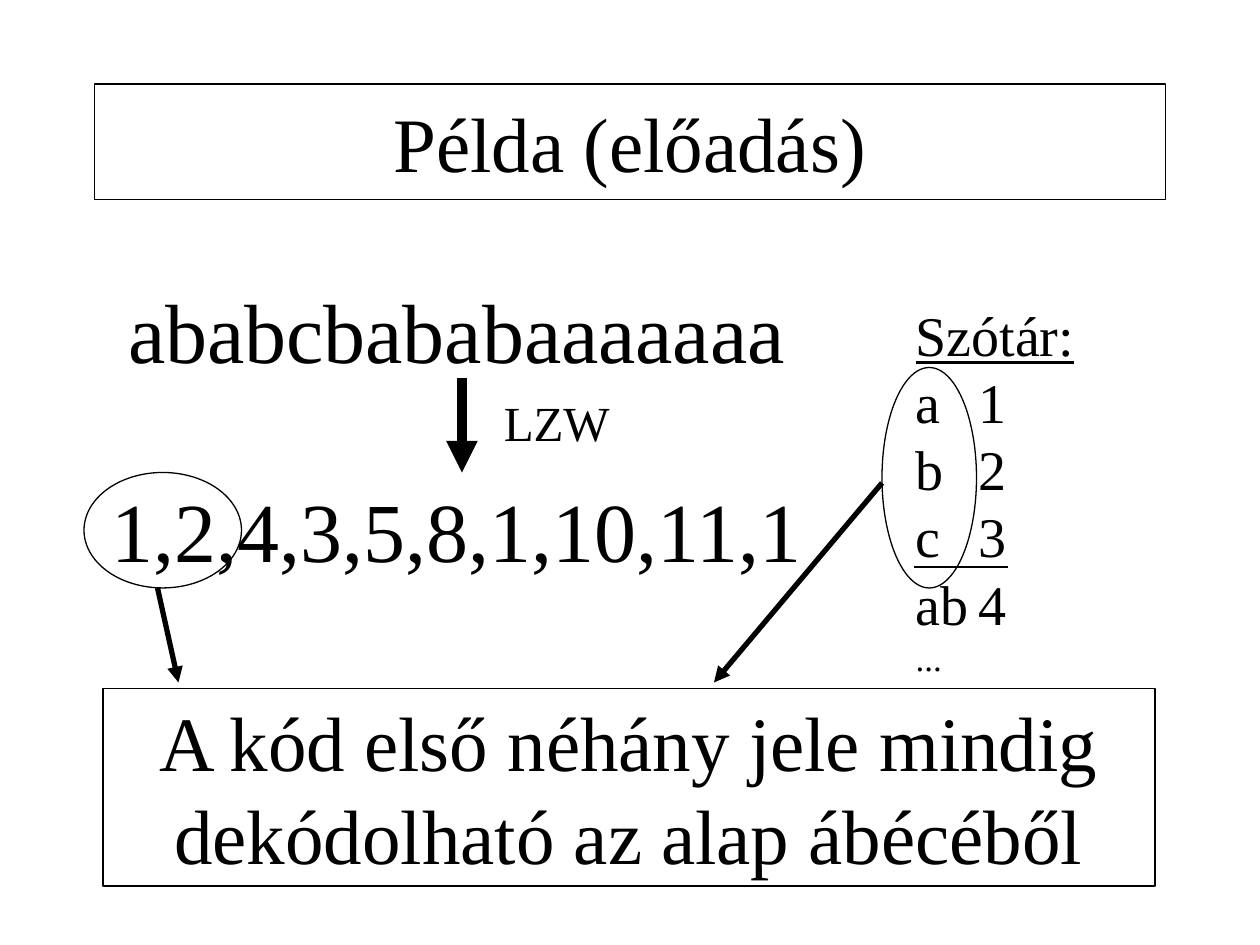
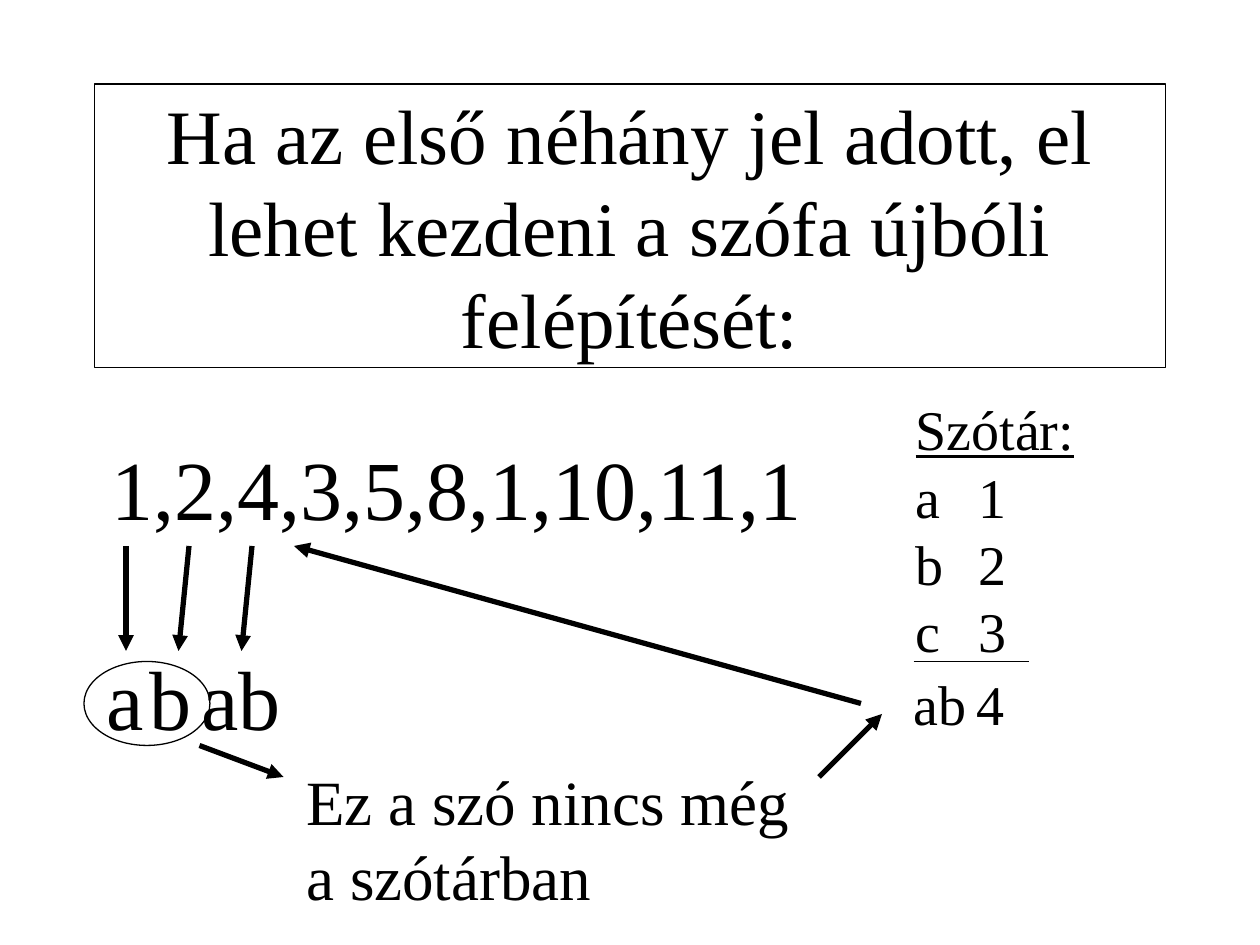
from dataclasses import dataclass
from typing import NamedTuple

from lxml import etree
from pptx import Presentation
from pptx.dml.color import RGBColor
from pptx.enum.shapes import MSO_CONNECTOR, MSO_SHAPE
from pptx.enum.text import MSO_ANCHOR, MSO_AUTO_SIZE, PP_ALIGN
from pptx.oxml.ns import qn
from pptx.util import Inches, Pt

STRAIGHT = MSO_CONNECTOR.STRAIGHT
RECTANGLE, OVAL = MSO_SHAPE.RECTANGLE, MSO_SHAPE.OVAL
TOP, MIDDLE = MSO_ANCHOR.TOP, MSO_ANCHOR.MIDDLE
LEFT, CENTER = PP_ALIGN.LEFT, PP_ALIGN.CENTER
FIXED_SIZE = MSO_AUTO_SIZE.NONE

COLUMNS, ROWS = 120, 90
CELL = Inches(10) // COLUMNS
TITLE_AND_CONTENT = 1


@dataclass(frozen=True)
class Theme:
    font: str = "Times New Roman"
    ink: RGBColor = RGBColor(0, 0, 0)
    title: int = 44
    code: int = 48
    remark: int = 36
    entry: int = 32
    label: int = 28
    ellipsis: int = 20
    thin: float = 0.75
    arrow: float = 3
    thick: float = 6


THEME = Theme()


class Area(NamedTuple):
    column: float
    row: float
    columns: float
    rows: float


class Line(NamedTuple):
    text: str
    size: int
    underline: bool = False


class Note(NamedTuple):
    area: Area
    lines: list[Line]
    align: PP_ALIGN = LEFT
    wrap: bool = True


class Stroke(NamedTuple):
    start: tuple[float, float]
    end: tuple[float, float]
    width: float = THEME.arrow
    head: bool = True


def cells(values) -> list[int]:
    return [round(value * CELL) for value in values]


def apply(target, formats: dict) -> None:
    for name, value in formats.items():
        setattr(target, name, value)


def place(box, area: Area) -> None:
    apply(box, dict(zip(("left", "top", "width", "height"), cells(area))))


def outline(box) -> None:
    box.fill.background()
    box.line.width = Pt(THEME.thin)
    box.line.color.rgb = THEME.ink


def write(box, lines: list[Line], align=LEFT, anchor=TOP, wrap=True) -> None:
    frame = box.text_frame
    apply(frame, {"word_wrap": wrap, "auto_size": FIXED_SIZE,
                  "vertical_anchor": anchor})
    for index, line in enumerate(lines):
        para = frame.add_paragraph() if index else frame.paragraphs[0]
        apply(para, {"alignment": align, "space_before": Pt(0)})
        properties = para._p.get_or_add_pPr()
        for name in ("marL", "indent"):
            properties.set(name, "0")
        etree.SubElement(properties, qn("a:buNone"))
        if "\t" in line.text:
            stops = etree.SubElement(properties, qn("a:tabLst"))
            etree.SubElement(stops, qn("a:tab"), pos=str(Inches(1)), algn="l")
        span = para.add_run()
        span.text = line.text
        apply(span.font, {"name": THEME.font, "size": Pt(line.size),
                          "underline": line.underline})
        span.font.color.rgb = THEME.ink


def add_title(page, text: str, rows: float) -> None:
    box = page.shapes.title
    place(box, Area(9, 8, 102, rows))
    outline(box)
    write(box, [Line(text, THEME.title)], CENTER, MIDDLE)


def add_dictionary(page, row: float, rows: float, entries: list[Line]) -> None:
    box = page.placeholders[1]
    place(box, Area(86, row, 24.5, rows))
    alphabet = [Line(f"{letter}\t{code}", THEME.entry)
                for code, letter in enumerate("abc", 1)]
    write(box, [Line("Szótár:", THEME.entry, True), *alphabet, *entries])


def add_note(page, note: Note) -> None:
    box = page.shapes.add_textbox(*cells(note.area))
    write(box, note.lines, note.align, wrap=note.wrap)


def add_outlined(page, kind: MSO_SHAPE, area: Area):
    box = page.shapes.add_shape(kind, *cells(area))
    box.shadow.inherit = False
    outline(box)
    return box


def add_stroke(page, stroke: Stroke) -> None:
    connector = page.shapes.add_connector(
        STRAIGHT, *cells(stroke.start + stroke.end))
    connector.line.width = Pt(stroke.width)
    connector.line.color.rgb = THEME.ink
    if stroke.head:
        etree.SubElement(connector.line._get_or_add_ln(), qn("a:tailEnd"),
                         type="triangle")
    etree.SubElement(connector._element.spPr, qn("a:effectLst"))


def code_note(row: float, text: str) -> Note:
    return Note(Area(9, row, 69, 10.8), [Line(text, THEME.code)], CENTER)


def draw(page, notes: list[Note], ovals: list[Area],
         strokes: list[Stroke]) -> None:
    for note in notes:
        add_note(page, note)
    for oval in ovals:
        add_outlined(page, OVAL, oval)
    for stroke in strokes:
        add_stroke(page, stroke)


CODE = "1,2,4,3,5,8,1,10,11,1"
NEW_ENTRY = Line("ab\t4", THEME.entry)


def build_example(page) -> None:
    add_title(page, "Példa (előadás)", 11)
    add_dictionary(page, 28, 37.2, [NEW_ENTRY, Line("...", THEME.ellipsis)])
    conclusion = add_outlined(page, RECTANGLE, Area(9.8, 65.6, 100.2, 18.8))
    write(conclusion, [Line("A kód első néhány jele mindig dekódolható "
                            "az alap ábécéből", THEME.title)], CENTER)
    draw(
        page,
        notes=[
            code_note(26, "ababcbababaaaaaaa"),
            code_note(45, CODE),
            Note(Area(46.8, 36.8, 12.5, 6.8), [Line("LZW", THEME.label)],
                 wrap=False),
        ],
        ovals=[Area(8, 45, 15, 11), Area(84, 35, 9, 21)],
        strokes=[
            Stroke((44, 36), (44, 45), THEME.thick),
            Stroke((87, 54), (96, 54), THEME.thin, False),
            Stroke((15, 56), (17, 65)),
            Stroke((84, 46), (68, 65)),
        ],
    )


def build_rebuilding(page) -> None:
    add_title(page, "Ha az első néhány jel adott, el lehet kezdeni a szófa "
                    "újbóli felépítését:", 27)
    add_dictionary(page, 37, 26.9, [])
    decoded = [
        Note(Area(column, 61, columns, 10.8), [Line(text, THEME.code)],
             wrap=wrap)
        for text, column, columns, wrap in (
            ("a", 9, 5.9, False), ("b", 13.1, 6.4, False), ("ab", 18, 11, True))
    ]
    decoding = [Stroke((start, 52), (end, 62))
                for start, end in ((12, 12), (18, 17), (24, 23))]
    draw(
        page,
        notes=[
            code_note(41, CODE),
            *decoded,
            Note(Area(28, 72, 48.4, 15.6),
                 [Line("Ez a szó nincs még", THEME.remark),
                  Line("a szótárban", THEME.remark)]),
            Note(Area(85.8, 63.2, 17, 7.7), [NEW_ENTRY], wrap=False),
        ],
        ovals=[Area(8, 63, 12, 8)],
        strokes=[
            *decoding,
            Stroke((87, 63), (98, 63), THEME.thin, False),
            Stroke((78, 74), (84, 68)),
            Stroke((19, 71), (27, 74)),
            Stroke((82, 67), (28, 52)),
        ],
    )


def main() -> None:
    deck = Presentation()
    apply(deck, {"slide_width": COLUMNS * CELL, "slide_height": ROWS * CELL})
    for build in (build_example, build_rebuilding):
        build(deck.slides.add_slide(deck.slide_layouts[TITLE_AND_CONTENT]))
    deck.save("out.pptx")


if __name__ == "__main__":
    main()
